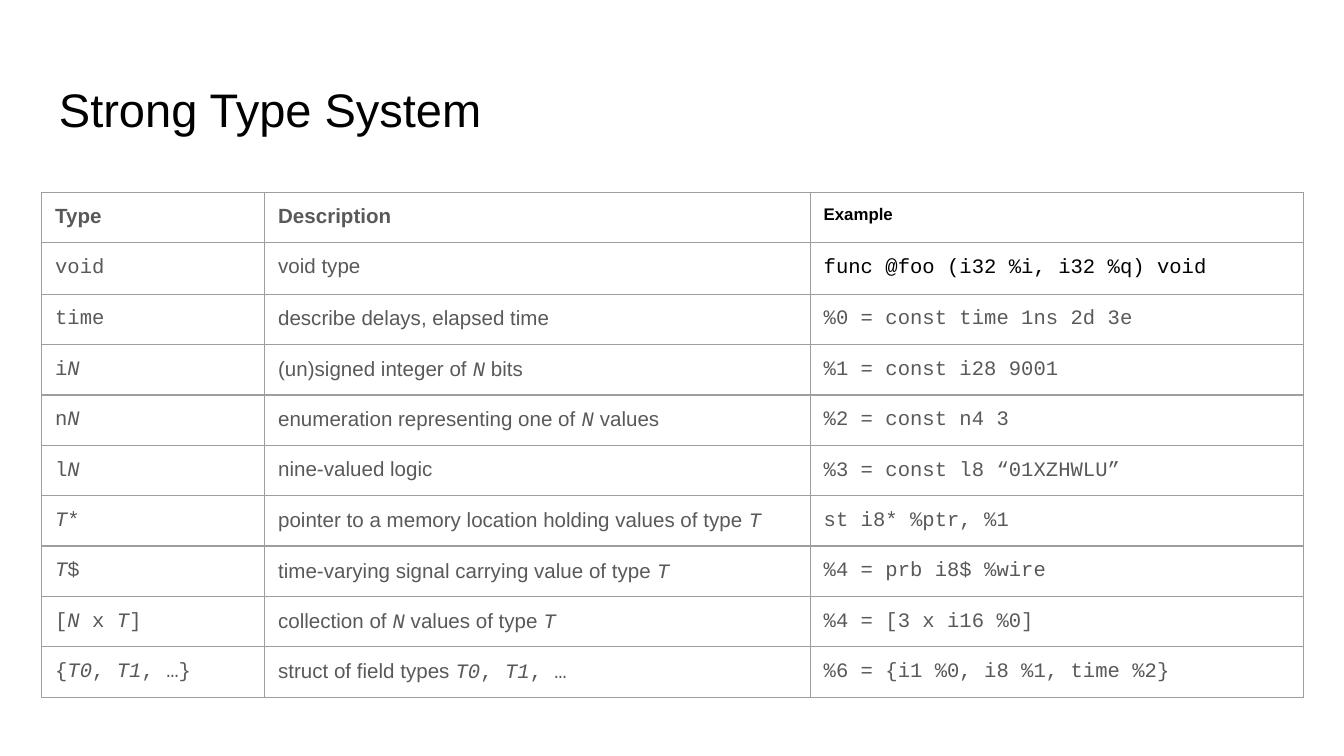
from dataclasses import dataclass

from lxml.etree import SubElement
from pptx import Presentation
from pptx.dml.color import RGBColor
from pptx.enum.text import MSO_ANCHOR
from pptx.oxml.ns import qn
from pptx.util import Pt


@dataclass(frozen=True)
class Theme:
    black: str = "000000"
    gray: str = "595959"
    background: str = "FFFFFF"
    border: str = "9E9E9E"
    sans: str = "Arial"
    mono: str = "Courier New"
    title_size: float = 25.2
    body_size: float = 11
    small_size: float = 9
    border_width: float = 0.75
    inset: float = 7.2


HEADERS = ["Type", "Description", "Example"]
TYPES = [
    ["void", "void type", "func @foo (i32 %i, i32 %q) void"],
    ["time", "describe delays, elapsed time", "%0 = const time 1ns 2d 3e"],
    ["i_N_", "(un)signed integer of `_N_` bits", "%1 = const i28 9001"],
    ["n_N_", "enumeration representing one of `_N_` values", "%2 = const n4 3"],
    ["l_N_", "nine-valued logic", "%3 = const l8 “01XZHWLU”"],
    ["_T_*", "pointer to a memory location holding values of type `_T_`", "st i8* %ptr, %1"],
    ["_T_$", "time-varying signal carrying value of type `_T_`", "%4 = prb i8$ %wire"],
    ["[_N_ x _T_]", "collection of `_N_` values of type `_T_`", "%4 = [3 x i16 %0]"],
    ["{_T0_, _T1_, …}", "struct of field types `_T0_, _T1_, …`", "%6 = {i1 %0, i8 %1, time %2}"],
]
COLUMN_WIDTHS = [119.5, 292.3, 264.2]
HEADER_HEIGHT = 26
ROW_HEIGHT = 26.8


class SlideBuilder:
    def __init__(self, presentation, theme):
        self.theme = theme
        self.slide = presentation.slides.add_slide(presentation.slide_layouts[6])
        fill = self.slide.background.fill
        fill.solid()
        fill.fore_color.rgb = RGBColor.from_string(theme.background)

    def style_run(self, run, font_name, size, color, bold=False, italic=False):
        font = run.font
        font.name, font.size = font_name, Pt(size)
        font.bold, font.italic = bold, italic
        font.color.rgb = RGBColor.from_string(color)

    def set_margins(self, target):
        inset = Pt(self.theme.inset)
        target.margin_left = target.margin_right = inset
        target.margin_top = target.margin_bottom = inset

    def title(self, text, left, top, width, height):
        shape = self.slide.shapes.add_textbox(Pt(left), Pt(top), Pt(width), Pt(height))
        text_frame = shape.text_frame
        text_frame.word_wrap = True
        text_frame.vertical_anchor = MSO_ANCHOR.MIDDLE
        self.set_margins(text_frame)
        text_frame.text = text
        run = text_frame.paragraphs[0].runs[0]
        self.style_run(run, self.theme.sans, self.theme.title_size, self.theme.black)

    def borders(self, cell):
        properties = cell._tc.get_or_add_tcPr()
        for index, side in enumerate(("a:lnL", "a:lnR", "a:lnT", "a:lnB")):
            line = properties.makeelement(qn(side), {"w": str(Pt(self.theme.border_width))})
            properties.insert(index, line)
            fill = SubElement(line, qn("a:solidFill"))
            SubElement(fill, qn("a:srgbClr"), val=self.theme.border)

    def cell(self, cell, markup, font_name, size, color, bold=False, spaced=True):
        self.set_margins(cell)
        cell.fill.background()
        self.borders(cell)
        paragraph = cell.text_frame.paragraphs[0]
        if spaced:
            paragraph.line_spacing = 0.95
            paragraph.space_after = Pt(12)
        for code_index, part in enumerate(markup.split("`")):
            part_font = self.theme.mono if code_index % 2 else font_name
            for italic_index, piece in enumerate(part.split("_")):
                if piece:
                    run = paragraph.add_run()
                    run.text = piece
                    self.style_run(run, part_font, size, color, bold, italic_index % 2 == 1)

    def type_table(self, headers, rows, left, top):
        theme = self.theme
        heights = [HEADER_HEIGHT] + [ROW_HEIGHT] * len(rows)
        table = self.slide.shapes.add_table(
            len(heights), len(headers), Pt(left), Pt(top),
            Pt(sum(COLUMN_WIDTHS)), Pt(sum(heights))).table
        table.first_row = table.horz_banding = False
        for column, width in zip(table.columns, COLUMN_WIDTHS):
            column.width = Pt(width)
        for row, height in zip(table.rows, heights):
            row.height = Pt(height)

        for column_index, text in enumerate(headers):
            example = text == "Example"
            self.cell(table.cell(0, column_index), text, theme.sans,
                      theme.small_size if example else theme.body_size,
                      theme.black if example else theme.gray,
                      bold=True, spaced=not example)
        for row_index, row in enumerate(rows, 1):
            for column_index, text in enumerate(row):
                function = text.startswith("func")
                self.cell(table.cell(row_index, column_index), text,
                          theme.sans if column_index == 1 else theme.mono,
                          theme.body_size,
                          theme.black if function else theme.gray,
                          spaced=not function)


def main():
    presentation = Presentation()
    presentation.slide_width, presentation.slide_height = Pt(720), Pt(405)
    builder = SlideBuilder(presentation, Theme())
    builder.title("Strong Type System", 24.5, 35.3, 671, 45.4)
    builder.type_table(HEADERS, TYPES, 22.3, 103)
    presentation.save("out.pptx")


if __name__ == "__main__":
    main()
